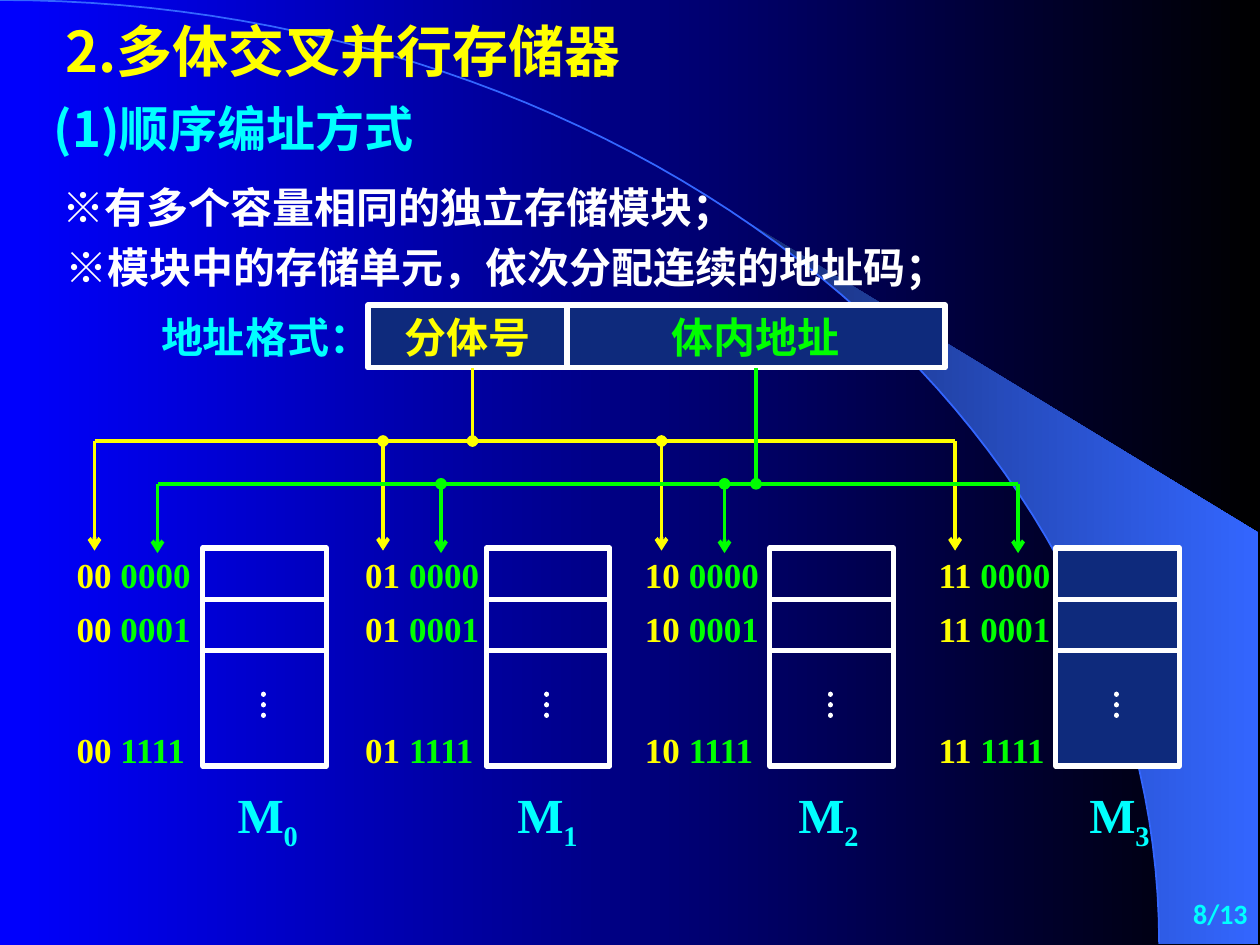
from math import asin, cos, pi, sin

from lxml.etree import SubElement
from pptx import Presentation
from pptx.dml.color import RGBColor
from pptx.enum.dml import MSO_LINE
from pptx.enum.shapes import MSO_CONNECTOR, MSO_SHAPE
from pptx.enum.text import MSO_ANCHOR as Anchor, PP_ALIGN as Align
from pptx.oxml.ns import qn
from pptx.util import Inches, Pt

YELLOW = RGBColor(0xFF, 0xFF, 0x00)
GREEN = RGBColor(0x00, 0xFF, 0x00)
CYAN = RGBColor(0x00, 0xFF, 0xFF)
WHITE = RGBColor(0xFF, 0xFF, 0xFF)
BLACK = RGBColor(0x00, 0x00, 0x00)
BLUE = RGBColor(0x00, 0x00, 0xFF)
NAVY = RGBColor(0x0E, 0x2A, 0x7C)
BAND_DARK = RGBColor(0x18, 0x2F, 0x76)
BAND_LIGHT = RGBColor(0x33, 0x66, 0xFF)
CJK = "Noto Sans CJK SC"
SERIF = "Times New Roman"

presentation = Presentation()
presentation.slide_width = Inches(10)
presentation.slide_height = Inches(7.5)
slide = presentation.slides.add_slide(presentation.slide_layouts[6])
shapes = slide.shapes


def add_text(runs, box=None, shape=None, size=24, font=CJK, align=Align.LEFT,
             anchor=Anchor.TOP, spacing=None, wrap=True, top_inset=0.05):
    """Write (text, colour[, baseline]) runs in a shape or a new text box."""
    if shape is None:
        shape = shapes.add_textbox(*map(Inches, box))
    frame = shape.text_frame
    frame.word_wrap = wrap
    frame.vertical_anchor = anchor
    frame.margin_top = Inches(top_inset)
    paragraph = frame.paragraphs[0]
    paragraph.alignment = align
    paragraph.line_spacing = spacing
    for text, color, *baseline in runs:
        run = paragraph.add_run()
        run.text = text
        run.font.size = Pt(size)
        run.font.bold = True
        run.font.name = font
        run.font.color.rgb = color
        properties = run.font._element
        SubElement(properties, qn("a:ea"), typeface=CJK)
        if baseline:
            properties.set("baseline", str(baseline[0]))


def add_line(start, end, color, width=2.25, head=None, tail=None, dotted=False):
    """Draw a straight connector, with optional end marks."""
    line = shapes.add_connector(MSO_CONNECTOR.STRAIGHT, *map(Inches, start + end))
    line.line.color.rgb = color
    line.line.width = Pt(width)
    outline = line.line._get_or_add_ln()
    if dotted:
        line.line.dash_style = MSO_LINE.ROUND_DOT
        outline.set("cap", "rnd")
    for tag, mark in (("a:headEnd", head), ("a:tailEnd", tail)):
        if mark:
            SubElement(outline, qn(tag), type=mark)
    SubElement(line._element.spPr, qn("a:effectLst"))
    return line


# Background: gradient, lit band and the arc along its edge
background = slide.background.fill
ARC_WIDTH, ARC_HEIGHT, BAND_LEFT, STEPS = 9.2, 7.49, 5.89, 60
arcs = []
for first_angle in (asin(BAND_LEFT / ARC_WIDTH), 0):
    angles = [first_angle + (pi / 2 - first_angle) * i / STEPS for i in range(STEPS + 1)]
    arcs.append([(Inches(ARC_WIDTH * sin(a)), Inches(ARC_HEIGHT * (1 - cos(a))))
                 for a in angles])
band_edge, full_arc = arcs
corners = [(Inches(9.99), Inches(7.49)), (Inches(9.99), Inches(4.23))]

builder = shapes.build_freeform(*band_edge[0])
builder.add_line_segments(band_edge[1:] + corners, close=True)
band = builder.convert_to_shape()
band.shadow.inherit = False
band.line.fill.background()

for fill, colors in ((background, (BLUE, BLACK)), (band.fill, (BAND_DARK, BAND_LIGHT))):
    fill.gradient()
    fill.gradient_angle = 0
    for stop, color, position in zip(fill.gradient_stops, colors, (0, 1)):
        stop.color.rgb = color
        stop.position = position

builder = shapes.build_freeform(*full_arc[0])
builder.add_line_segments(full_arc[1:], close=False)
arc = builder.convert_to_shape()
arc.shadow.inherit = False
arc.fill.background()
arc.line.color.rgb = BAND_LIGHT
arc.line.width = Pt(1)

# Headings and statements
add_text([("2.多体交叉并行存储器", YELLOW)], (0.42, 0, 5, 0.67), size=32,
         anchor=Anchor.MIDDLE, top_inset=0.17)
add_text([("(1)顺序编址方式", CYAN)], (0.33, 0.68, 3.58, 0.67), size=28,
         anchor=Anchor.MIDDLE)
add_text([("※有多个容量相同的独立存储模块；", WHITE)], (0.4, 1.31, 6.6, 0.58), spacing=1.2)
add_text([("※模块中的存储单元，依次分配连续的地址码；", WHITE)], (0.42, 1.79, 8.17, 0.58),
         spacing=1.2)

# Address format
add_text([("地址格式：", CYAN)], (1.18, 2.42, 1.86, 0.5), wrap=False)
for text, color, left, width in (("分体号", YELLOW, 2.92, 1.58),
                                 ("体内地址", GREEN, 4.5, 3)):
    field = shapes.add_shape(MSO_SHAPE.RECTANGLE, Inches(left), Inches(2.42),
                             Inches(width), Inches(0.5))
    field.shadow.inherit = False
    field.fill.solid()
    field.fill.fore_color.rgb = NAVY
    field.line.color.rgb = WHITE
    field.line.width = Pt(3)
    add_text([(text, color)], shape=field, font=SERIF, align=Align.CENTER)

# Memory modules with their addresses
MODULE_TOP, MODULE_WIDTH, MODULE_HEIGHT = 4.35, 0.98, 1.73
modules = (("00", 1.61, 0.51, 1.65), ("01", 3.86, 2.8, 3.87),
           ("10", 6.11, 5.02, 6.1), ("11", 8.38, 7.35, 8.41))
for number, (code, left, label_left, name_left) in enumerate(modules):
    module = shapes.add_shape(MSO_SHAPE.RECTANGLE, Inches(left), Inches(MODULE_TOP),
                              Inches(MODULE_WIDTH), Inches(MODULE_HEIGHT))
    module.shadow.inherit = False
    if code == "11":
        module.fill.solid()
        module.fill.fore_color.rgb = NAVY
    else:
        module.fill.background()
    module.line.color.rgb = WHITE
    module.line.width = Pt(3)
    for y in (4.76, 5.16):
        add_line((left, y), (left + MODULE_WIDTH, y), WHITE, width=3)
    add_line((left + 0.48, 5.51), (left + 0.48, 5.75), WHITE, width=3, dotted=True)
    for offset, top in (("0000", 4.34), ("0001", 4.77), ("1111", 5.73)):
        add_text([(code + " ", YELLOW), (offset, GREEN)], (label_left, top, 1.18, 0.44),
                 size=20, font=SERIF)
    add_text([("M", CYAN), (str(number), CYAN, -25000)], (name_left, 6.18, 0.95, 0.63),
             size=28, font=SERIF, align=Align.CENTER)

# Buses from the address fields to the modules
buses = ((YELLOW, 3.75, 3.5, 4.37, (0.75, 3.04, 5.25, 7.58)),
         (GREEN, 6, 3.84, 4.39, (1.25, 3.5, 5.75, 8.08)))
for color, stem_x, bus_y, tip_y, drops in buses:
    stem = add_line((stem_x, 2.92), (stem_x, bus_y), color, tail="oval")
    if color == GREEN:
        stem.begin_connect(field, 2)
    add_line((drops[0], bus_y), (drops[-1], bus_y), color)
    for x in drops:
        head = "oval" if x in drops[1:-1] else None
        add_line((x, bus_y), (x, tip_y), color, head=head, tail="arrow")

# Page number
add_text([("8/13", CYAN)], (7.92, 7, 2.08, 0.5), size=16, font="Calibri",
         align=Align.RIGHT, anchor=Anchor.MIDDLE)

presentation.save("out.pptx")
